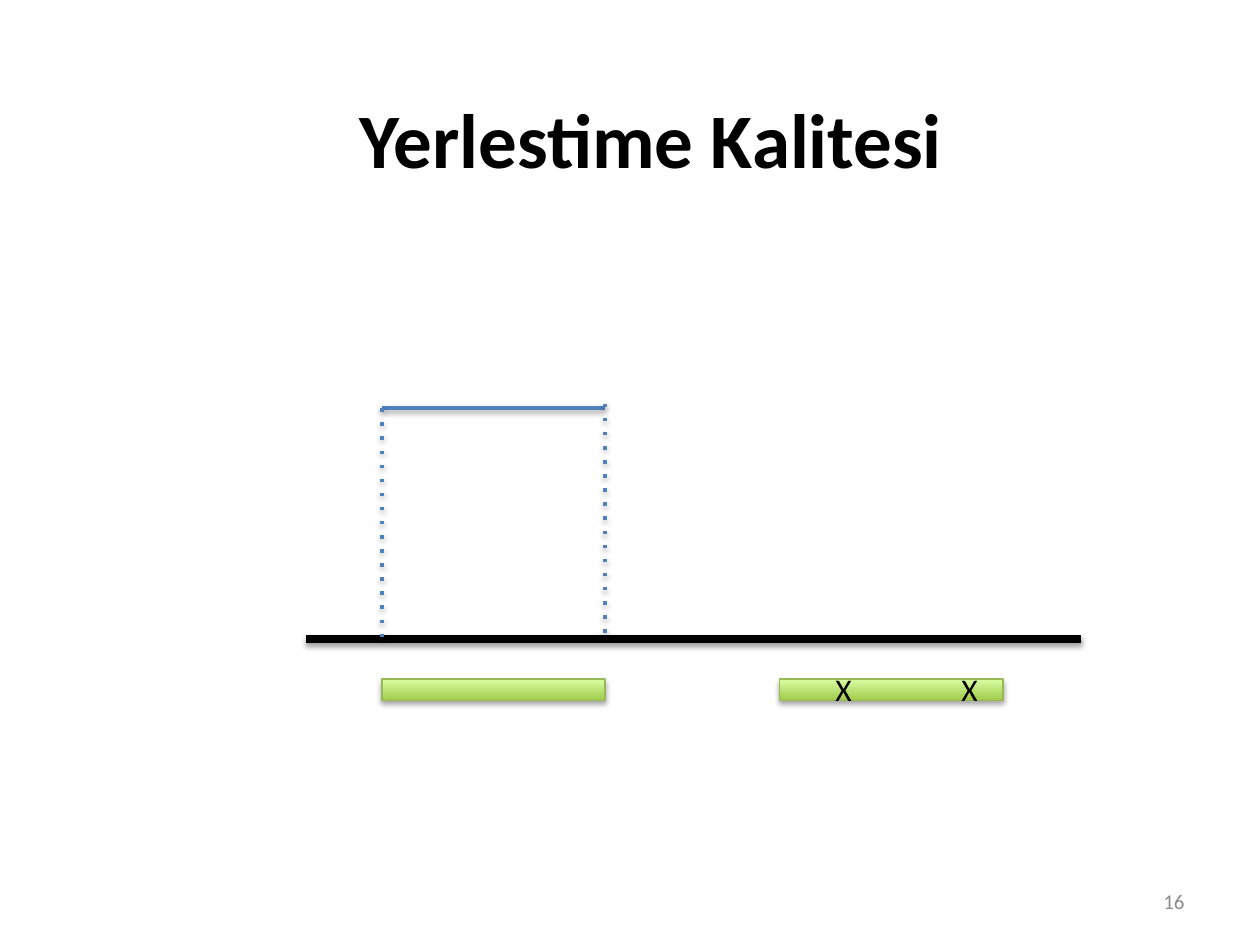
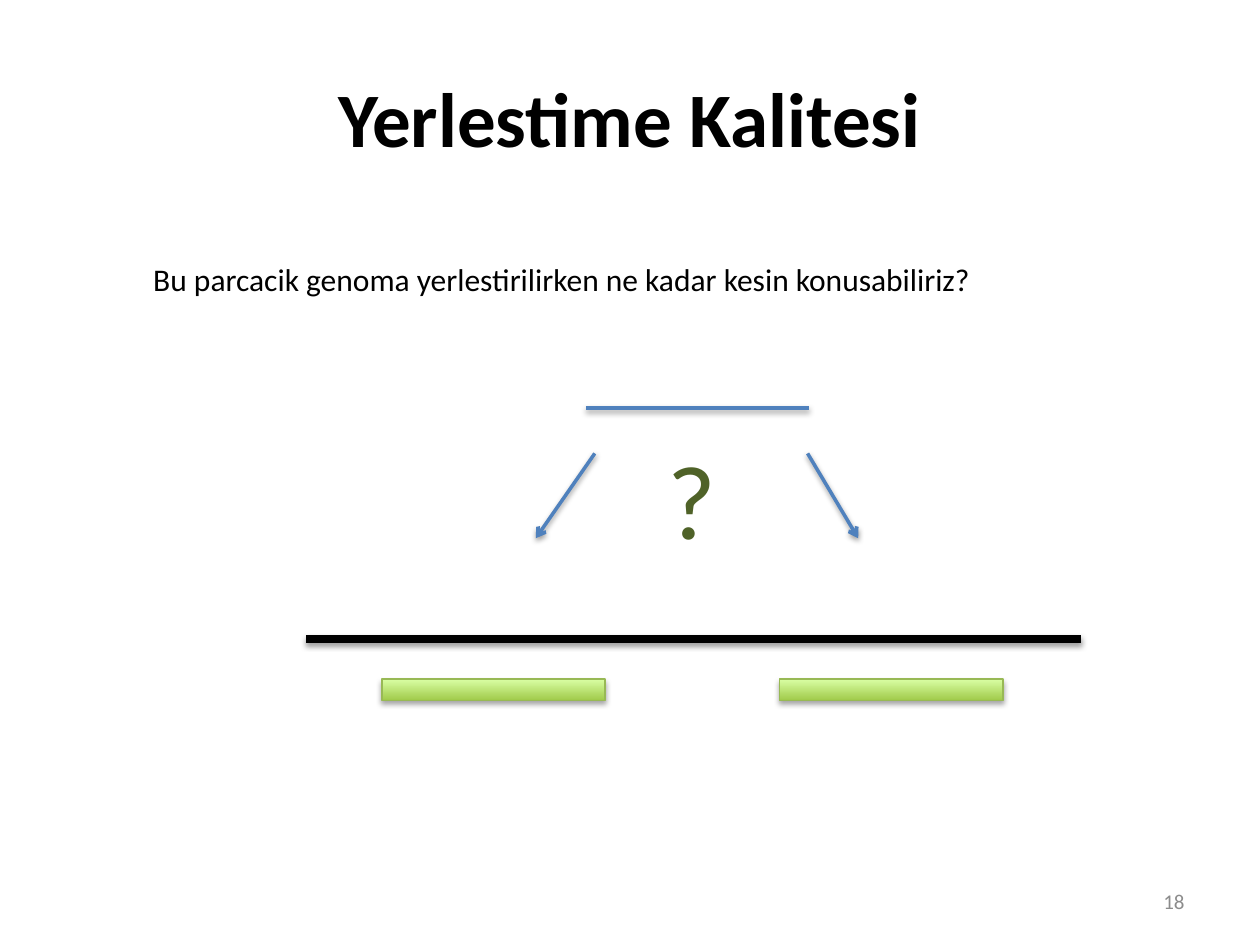
from dataclasses import dataclass

from lxml.etree import SubElement
from pptx import Presentation
from pptx.dml.color import RGBColor
from pptx.enum.shapes import MSO_CONNECTOR as CONN, MSO_SHAPE as SHAPE
from pptx.enum.text import MSO_ANCHOR as ANCHOR, PP_ALIGN as ALIGN
from pptx.oxml.ns import qn
from pptx.util import Cm, Pt


@dataclass(frozen=True)
class Theme:
    """Colours, font and sizes shared by the slides."""
    font: str = "Calibri"
    ink: str = "000000"
    read: str = "4F81BD"
    region_dark: str = "A0CA4A"
    region_light: str = "DAFFA5"
    region_edge: str = "98B955"
    question: str = "4F6228"
    number: str = "8C8C8C"
    title_pt: int = 44
    question_pt: int = 60
    body_pt: int = 18
    number_pt: int = 12
    axis_pt: float = 4.5
    read_pt: float = 2
    edge_pt: float = 0.75


T = Theme()
TITLE = "Yerlestime Kalitesi"
GENOME = (6.17, 8.23, 15.62, 4.65)
READ_LEN = 4.5
REGIONS = (1.53, 9.55)


def rgb(code):
    """Return a colour from its hex code."""
    return RGBColor.from_string(code)


def add_shadow(shape, dist, alpha):
    """Give a shape or connector a soft shadow below it."""
    effects = SubElement(shape.element.spPr, qn("a:effectLst"))
    outer = SubElement(effects, qn("a:outerShdw"), blurRad="40000", dist=str(dist),
                       dir="5400000", rotWithShape="0")
    color = SubElement(outer, qn("a:srgbClr"), val=T.ink)
    SubElement(color, qn("a:alpha"), val=str(alpha * 1000))


def add_line(shapes, box, start, end, color=T.read, width=T.read_pt, dotted=False, arrow=False):
    """Draw a shadowed line between two points of a box."""
    x, y = box[:2]
    line = shapes.add_connector(CONN.STRAIGHT, Cm(x + start[0]), Cm(y + start[1]),
                                Cm(x + end[0]), Cm(y + end[1]))
    line.line.color.rgb = rgb(color)
    line.line.width = Pt(width)
    ln = line.element.spPr.find(qn("a:ln"))
    if dotted:
        SubElement(ln, qn("a:prstDash"), val="dot")
    if arrow:
        SubElement(ln, qn("a:tailEnd"), type="arrow")
    add_shadow(line, 20000, 38)


def format_text(tf, size, color, align, bold=False):
    """Format every run of a text frame."""
    for p in tf.paragraphs:
        p.alignment = align
        for r in p.runs:
            r.font.name, r.font.size, r.font.bold = T.font, Pt(size), bold
            r.font.color.rgb = rgb(color)


def add_text(s, box, text, size=T.body_pt, color=T.ink, align=ALIGN.LEFT, anchor=ANCHOR.TOP):
    """Place a wrapped text box."""
    tf = s.shapes.add_textbox(*map(Cm, box)).text_frame
    tf.word_wrap, tf.vertical_anchor = True, anchor
    tf.text = text
    format_text(tf, size, color, align)


def add_region(s, box):
    """Draw one green genome region."""
    sp = s.shapes.add_shape(SHAPE.RECTANGLE, *map(Cm, box))
    sp.fill.gradient()
    sp.fill.gradient_angle = 90
    for stop, color in zip(sp.fill.gradient_stops, (T.region_dark, T.region_light)):
        stop.color.rgb = rgb(color)
    sp.line.color.rgb = rgb(T.region_edge)
    sp.line.width = Pt(T.edge_pt)
    add_shadow(sp, 23000, 35)


def add_genome(s, box, read_x, aligned=False):
    """Draw the genome axis, the read above it and the regions below it."""
    x, y, w, h = box
    shapes = s.shapes.add_group_shape().shapes
    add_line(shapes, box, (0, h), (w, h), T.ink, T.axis_pt)
    add_line(shapes, box, (read_x, 0), (read_x + READ_LEN, 0))
    if aligned:
        for edge, rise in ((read_x, 0), (read_x + READ_LEN, -0.09)):
            add_line(shapes, box, (edge, rise), (edge, h + rise), dotted=True)
    for region_x in REGIONS:
        add_region(s, (x + region_x, y + h + 0.81, READ_LEN, 0.43))


def add_mismatches(s, box):
    """Mark the mismatches on the second region."""
    x, y, _, h = box
    add_text(s, (x + 10.42, y + h + 0.5, 3.63, 1.02), "X\t\tX")


def add_doubt(s, box):
    """Draw the two arrows and the question mark under the read."""
    x, y = box[:2]
    for start, end in ((10.11, 11.13), (5.82, 4.63)):
        add_line(s.shapes, box, (start, 0.91), (end, 2.62), arrow=True)
    add_text(s, (x + 6.02, y + 0.41, 3.53, 2.82), "?", T.question_pt, T.question, ALIGN.CENTER)


def add_slide(prs, number, left, top):
    """Add a slide with its title and page number."""
    s = prs.slides.add_slide(prs.slide_layouts[5])
    title = s.shapes.title
    title.left, title.top, title.width, title.height = map(Cm, (left, top, 22.86, 3.18))
    tf = title.text_frame
    tf.text = TITLE
    tf.vertical_anchor = ANCHOR.MIDDLE
    format_text(tf, T.title_pt, T.ink, ALIGN.CENTER, bold=True)
    add_text(s, (18.2, 17.65, 5.93, 1.02), number, T.number_pt, T.number,
             ALIGN.RIGHT, ANCHOR.MIDDLE)
    return s


def main():
    """Build and save the slides."""
    prs = Presentation()
    prs.slide_width, prs.slide_height = Cm(25.4), Cm(19.05)

    s = add_slide(prs, "16", 1.7, 1.19)
    add_genome(s, GENOME, REGIONS[0], aligned=True)
    add_mismatches(s, GENOME)

    s = add_slide(prs, "18", 1.27, 0.76)
    add_genome(s, GENOME, 5.64)
    add_doubt(s, GENOME)
    add_text(s, (2.84, 5.11, 19.69, 1.02),
             "Bu parcacik genoma yerlestirilirken ne kadar kesin konusabiliriz?")

    prs.save("out.pptx")


main()
